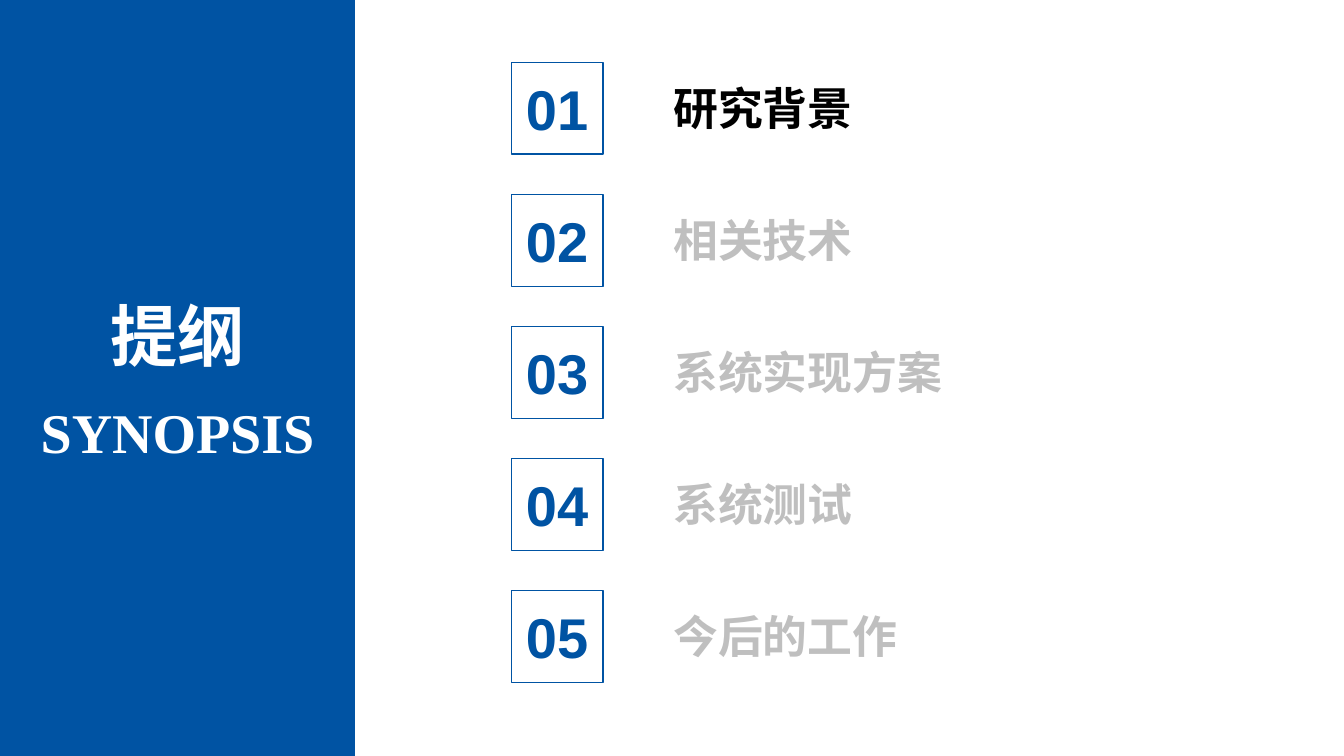
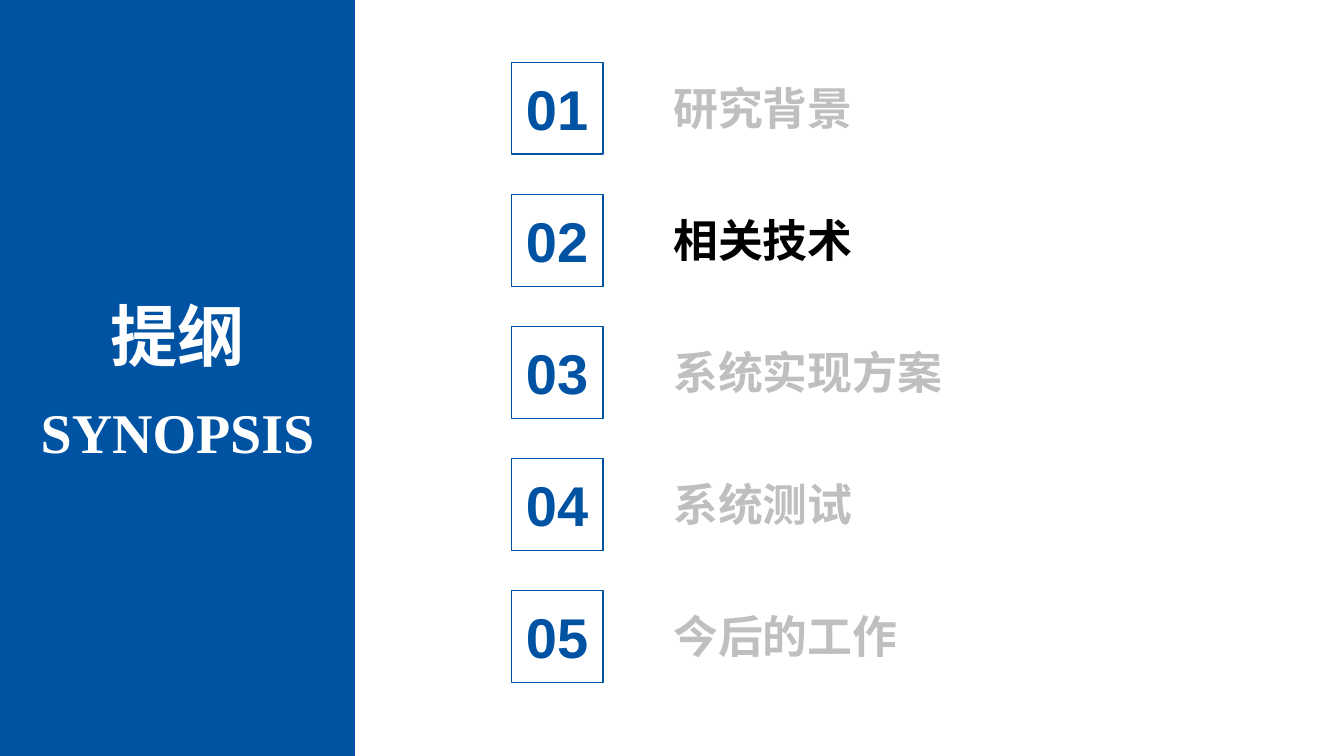
from lxml import etree
from pptx import Presentation
from pptx.dml.color import RGBColor
from pptx.enum import shapes, text
from pptx.oxml import ns
from pptx.util import Inches, Pt

BLUE = RGBColor(0x00, 0x53, 0xA3)
WHITE = RGBColor(0xFF, 0xFF, 0xFF)
BLACK = RGBColor(0x00, 0x00, 0x00)
GREY = RGBColor(0xBF, 0xBF, 0xBF)
CHINESE_FONT = "Noto Sans CJK SC"

SECTIONS = ["研究背景", "相关技术", "系统实现方案", "系统测试", "今后的工作"]
SLIDE_HEIGHT = 7.5
BAND_WIDTH = 3.52
FIRST_TOP = 0.62
ROW_PITCH = 1.31
BOX_SIZE = 0.91


def write(shape, words, size, font_name, color, align):
    """Put one bold line of text into a shape."""
    frame = shape.text_frame
    frame.text = words
    frame.word_wrap = True
    paragraph = frame.paragraphs[0]
    paragraph.alignment = align
    font = paragraph.runs[0].font
    font.size, font.bold, font.name = Pt(size), True, font_name
    font.color.rgb = color
    # Chinese characters take the East Asian typeface
    east_asian = etree.SubElement(paragraph.runs[0]._r.get_or_add_rPr(), ns.qn("a:ea"))
    east_asian.set("typeface", font_name)


def add_rectangle(parent, left, top, width, height):
    rectangle = parent.add_shape(
        shapes.MSO_SHAPE.RECTANGLE,
        Inches(left), Inches(top), Inches(width), Inches(height))
    rectangle.shadow.inherit = False
    return rectangle


prs = Presentation()
prs.slide_width, prs.slide_height = Inches(13.33), Inches(SLIDE_HEIGHT)

# One outline slide per current section
for current in SECTIONS[:2]:
    slide = prs.slides.add_slide(prs.slide_layouts[6])

    # Blue band with the heading in two languages
    band = add_rectangle(slide.shapes, 0, 0, BAND_WIDTH, SLIDE_HEIGHT)
    band.fill.solid()
    band.fill.fore_color.rgb = BLUE
    band.line.fill.background()
    for words, top, height, size, font_name in [
        ("提纲", 2.87, 0.91, 48, CHINESE_FONT),
        ("SYNOPSIS", 3.89, 0.77, 40, "Times New Roman"),
    ]:
        heading = slide.shapes.add_textbox(
            Inches(0), Inches(top), Inches(BAND_WIDTH), Inches(height))
        write(heading, words, size, font_name, WHITE, text.PP_ALIGN.CENTER)

    # Numbered sections, the current one in black
    for row, section in enumerate(SECTIONS):
        top = FIRST_TOP + row * ROW_PITCH
        entry = slide.shapes.add_group_shape().shapes

        title = entry.add_textbox(
            Inches(6.58), Inches(top + 0.13), Inches(3.97), Inches(0.64))
        write(title, section, 32, CHINESE_FONT,
              BLACK if section == current else GREY, text.PP_ALIGN.LEFT)

        number = add_rectangle(entry, 5.07, top, BOX_SIZE, BOX_SIZE)
        number.fill.background()
        number.line.color.rgb = BLUE
        number.line.width = Pt(1)
        number.text_frame.vertical_anchor = text.MSO_ANCHOR.MIDDLE
        write(number, f"{row + 1:02}", 40, "Arial", BLUE, text.PP_ALIGN.CENTER)

prs.save("out.pptx")
